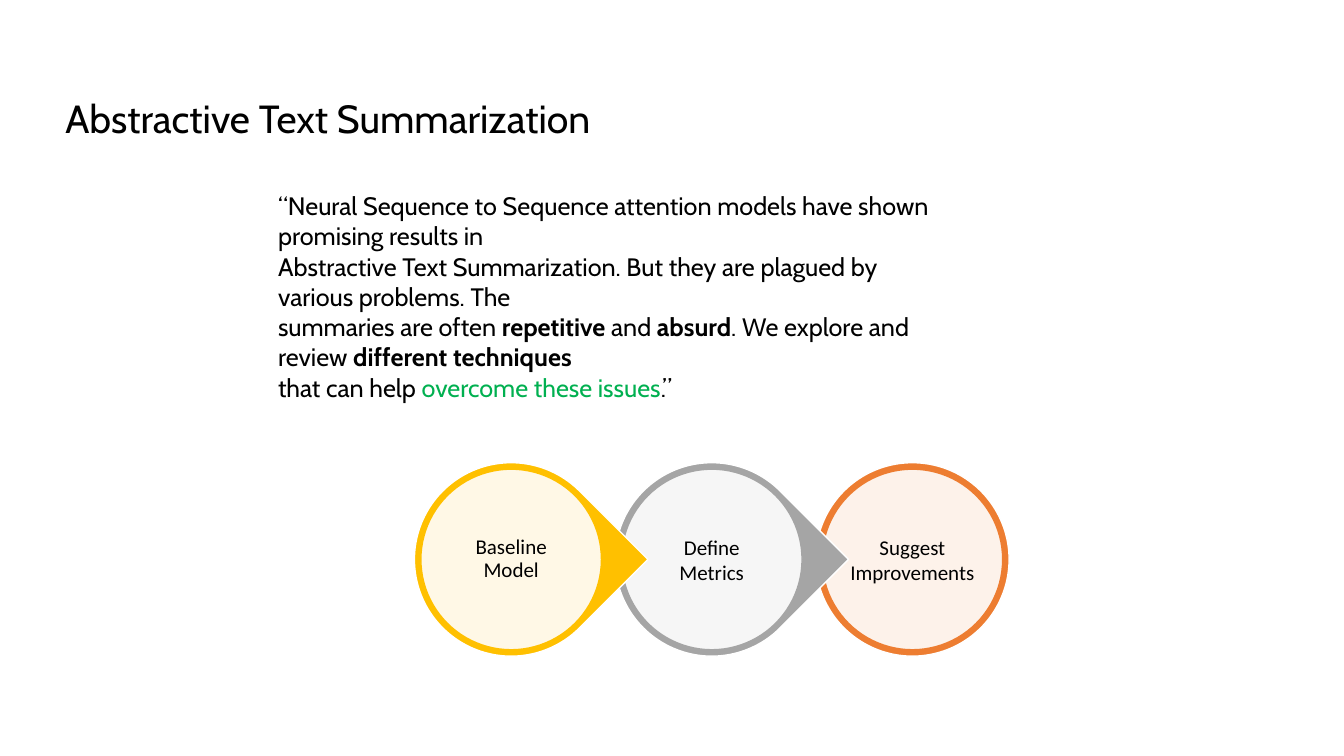
import pptx
import pptx.util
import pptx.dml.color
import pptx.enum.shapes
import pptx.enum.text
import pptx.oxml.ns
import lxml.etree

Pt = pptx.util.Pt
Shape = pptx.enum.shapes.MSO_SHAPE


def color(code):
    return pptx.dml.color.RGBColor.from_string(code)


def add_disc(kind, left, top, size, fill, line):
    disc = page.shapes.add_shape(kind, Pt(left), Pt(top), Pt(size), Pt(size))
    disc.shadow.inherit = False
    disc.fill.solid()
    disc.fill.fore_color.rgb = color(fill)
    disc.line.color.rgb = color(line)
    disc.line.width = Pt(1)
    return disc


deck = pptx.Presentation()
deck.slide_width, deck.slide_height = Pt(960), Pt(540)
page = deck.slides.add_slide(deck.slide_layouts[6])

# Title and quotation: each paragraph is a list of (text, bold, colour)
title = [[("Abstractive Text Summarization", False, "000000")]]
quotation = [
    [("“Neural Sequence to Sequence attention models have shown promising results in", False, "000000")],
    [("Abstractive Text Summarization. But they are plagued by various problems. The", False, "000000")],
    [("summaries are often ", False, "000000"), ("repetitive", True, "000000"),
     (" and ", False, "000000"), ("absurd", True, "000000"),
     (". We explore and review ", False, "000000"), ("different techniques", True, "000000")],
    [("that can help ", False, "000000"), ("overcome these issues", False, "00B050"),
     (".”", False, "000000")],
]
for left, top, height, size, paragraphs in [
    (39.6, 64.1, 41, 28, title),
    (191.5, 132.5, 160, 18, quotation),
]:
    box = page.shapes.add_textbox(Pt(left), Pt(top), Pt(480), Pt(height))
    frame = box.text_frame
    frame.word_wrap = True
    for index, spans in enumerate(paragraphs):
        para = frame.paragraphs[0] if index == 0 else frame.add_paragraph()
        para.font.name = "Cabin"
        para.font.size = Pt(size)
        for text, bold, code in spans:
            span = para.add_run()
            span.text = text
            span.font.bold = bold
            span.font.color.rgb = color(code)

# Process steps, drawn from right to left so each tip overlaps the next disc
steps = [
    ("Baseline Model", "FFC000", Shape.TEAR, 0.9),
    ("Define Metrics", "A5A5A5", Shape.TEAR, None),
    ("Suggest Improvements", "ED7D31", Shape.OVAL, None),
]
first_left, top, pitch = 296, 330.5, 143.3
outer, inner, label = 138.2, 129, 92.2
inner_gap, label_gap = (outer - inner) / 2, (outer - label) / 2

for index, (text, code, kind, spacing) in reversed(list(enumerate(steps))):
    left = first_left + index * pitch
    disc = add_disc(kind, left, top, outer, code, "FFFFFF")
    if kind == Shape.TEAR:
        disc.rotation = 45

    # Translucent white centre
    centre = add_disc(Shape.OVAL, left + inner_gap, top + inner_gap, inner, "FFFFFF", code)
    fill_color = centre.fill._xPr.find(".//" + pptx.oxml.ns.qn("a:srgbClr"))
    lxml.etree.SubElement(fill_color, pptx.oxml.ns.qn("a:alpha"), val="90000")

    # Label
    box = page.shapes.add_textbox(Pt(left + label_gap), Pt(top + label_gap), Pt(label), Pt(label))
    frame = box.text_frame
    frame.word_wrap = True
    frame.vertical_anchor = pptx.enum.text.MSO_ANCHOR.MIDDLE
    frame.margin_left = frame.margin_right = Pt(1.5)
    frame.margin_top = frame.margin_bottom = Pt(1.5)
    para = frame.paragraphs[0]
    para.text = text
    para.alignment = pptx.enum.text.PP_ALIGN.CENTER
    para.line_spacing = spacing
    para.font.name = "Calibri"
    para.font.size = Pt(15)
    para.font.color.rgb = color("000000")

deck.save("out.pptx")
